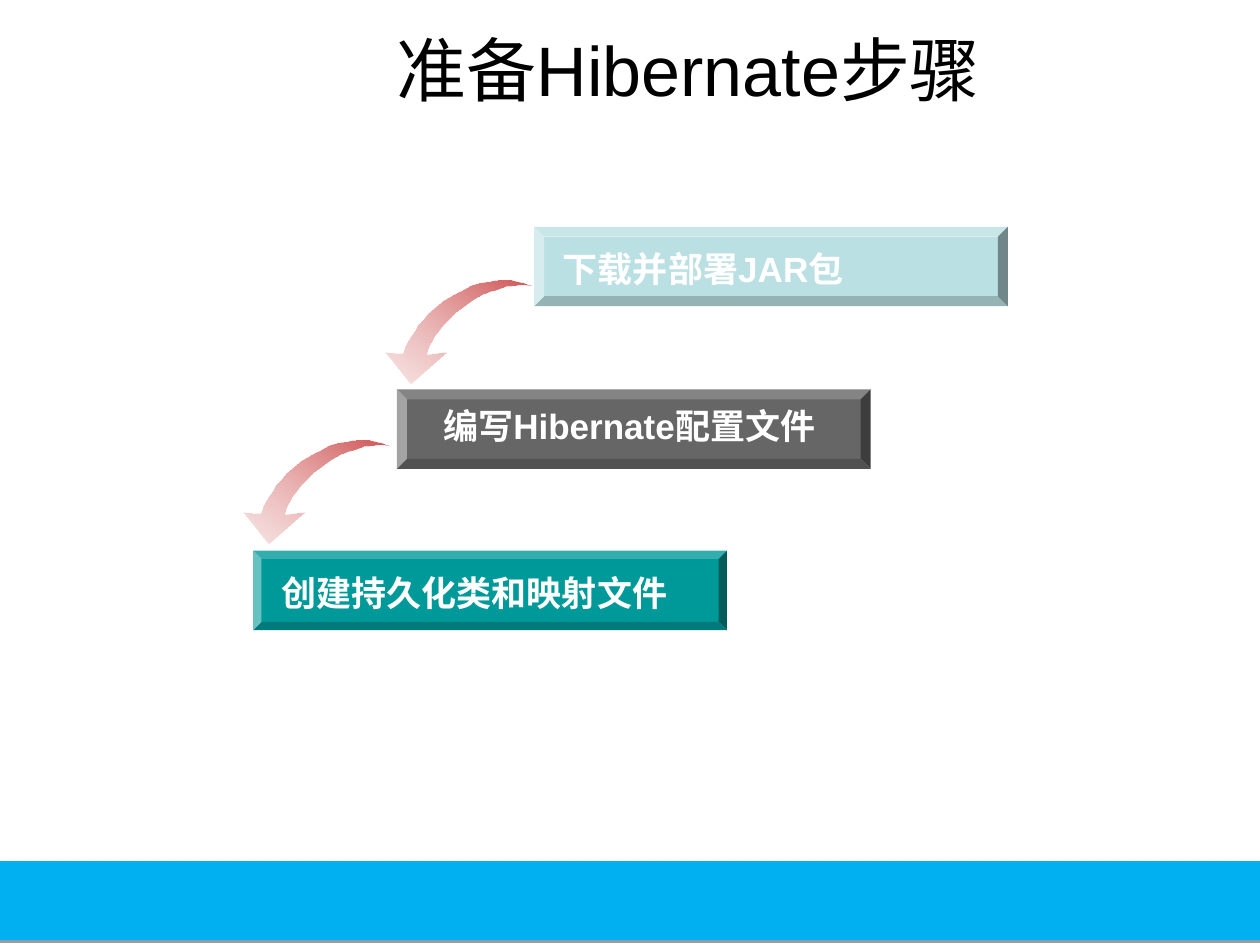
"""Build a slide with three stepped bars that lead through preparing Hibernate."""
import pptx
import pptx.util
import pptx.dml.color
import pptx.enum.shapes
import pptx.enum.text
import pptx.oxml
import pptx.oxml.ns

Pt = pptx.util.Pt
KIND = pptx.enum.shapes.MSO_SHAPE
NS = pptx.oxml.ns.nsdecls("a")


def rgb(code):
    return pptx.dml.color.RGBColor.from_string(code)


def write(frame, text, size=20, color="FFFFFF", bold=True):
    frame.vertical_anchor = pptx.enum.text.MSO_ANCHOR.MIDDLE
    para = frame.paragraphs[0]
    para.alignment = pptx.enum.text.PP_ALIGN.CENTER
    run = para.add_run()
    run.text = text
    run.font.name = "Arial"
    run.font.size = Pt(size)
    run.font.bold = bold
    run.font.color.rgb = rgb(color)


deck = pptx.Presentation()
deck.slide_width, deck.slide_height = Pt(720), Pt(540)
slide = deck.slides.add_slide(deck.slide_layouts[5])
shapes = slide.shapes

title = shapes.title
title.left, title.top, title.width, title.height = Pt(68.4), Pt(1.5), Pt(650), Pt(75.6)
write(title.text_frame, "准备Hibernate步骤", size=40, color="000000", bold=False)

band = shapes.add_shape(KIND.RECTANGLE, Pt(-0.5), Pt(492), Pt(720.5), Pt(45.2))
band.fill.solid()
band.fill.fore_color.rgb = rgb("00B0F0")
band.line.fill.background()
band._element.spPr.append(pptx.oxml.parse_xml(
    f'<a:effectLst {NS}><a:outerShdw blurRad="0" dist="{Pt(1.6)}" dir="5400000" rotWithShape="0">'
    '<a:srgbClr val="000000"><a:alpha val="38000"/></a:srgbClr></a:outerShdw></a:effectLst>'))

steps = [
    (305.3, 129.6, "BBE0E3", 0.126, "下载并部署JAR包", 308.9, 137.5, 185.8),
    (226.8, 222.5, "666666", 0.126, "编写Hibernate配置文件", 235.4, 227.5, 248.4),
    (144.7, 314.7, "009999", 0.104, "创建持久化类和映射文件", 151.2, 322.6, 239.8),
]
for left, top, color, edge, text, text_left, text_top, width in steps:
    bar = shapes.add_shape(KIND.BEVEL, Pt(left), Pt(top), Pt(270.7), Pt(45.4))
    bar.adjustments[0] = edge
    bar.shadow.inherit = False
    bar.fill.solid()
    bar.fill.fore_color.rgb = rgb(color)
    bar.line.fill.background()
    label = shapes.add_textbox(Pt(text_left), Pt(text_top), Pt(width), Pt(31.7))
    label.text_frame.word_wrap = False
    write(label.text_frame, text)

curve = [
    (422, 228), (418, 227), (411, 227), (401, 228), (396, 230), (389, 232), (383, 234),
    (376, 238), (369, 243), (362, 248), (357, 253), (352, 258), (349, 262), (345, 267),
    (343, 271), (341, 274), (340, 277), (339, 281), (355, 279), (326, 304), (306, 279),
    (320, 280), (322, 274), (326, 267), (329, 263), (332, 258), (336, 254), (340, 249),
    (346, 244), (352, 239), (359, 235), (367, 231), (374, 227), (382, 225), (389, 224),
    (395, 223), (406, 223), (411, 224), (415, 225), (421, 227),
]
for right, down in [(0, 0), (-113, 127)]:
    pen = shapes.build_freeform(*curve[0], scale=Pt(0.72))
    pen.add_line_segments(curve[1:], close=True)
    arrow = pen.convert_to_shape(Pt(0.72 * right), Pt(0.72 * down))
    arrow.shadow.inherit = False
    arrow.line.fill.background()
    arrow.fill.gradient()
    arrow.fill.gradient_angle = 55
    for stop, color in zip(arrow.fill.gradient_stops, ["E7A9A9", "D05656"]):
        stop.color.rgb = rgb(color)
    tint = arrow._element.spPr.find(".//" + pptx.oxml.ns.qn("a:srgbClr"))
    tint.append(pptx.oxml.parse_xml(f'<a:alpha {NS} val="32000"/>'))

deck.save("out.pptx")
